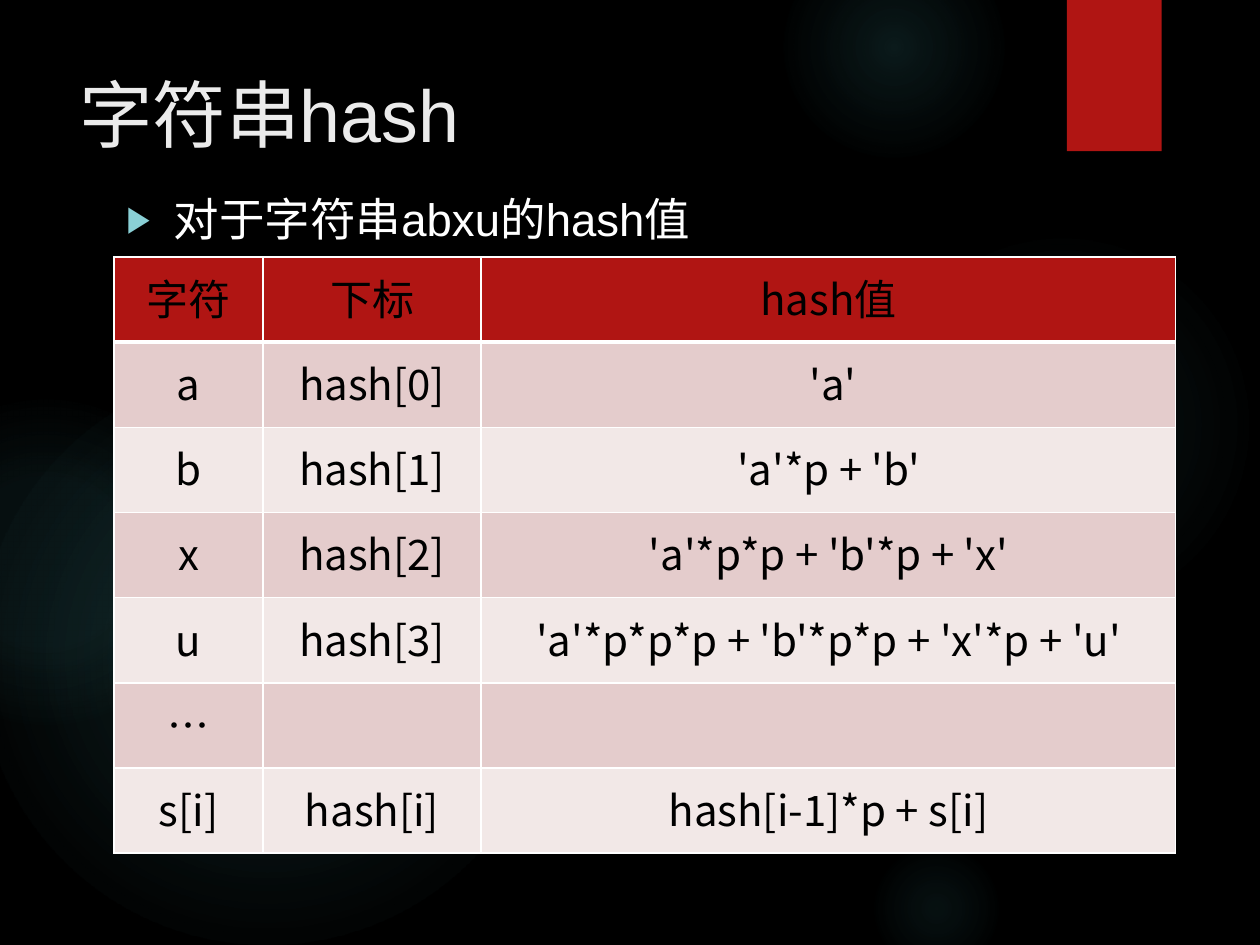
from lxml import etree
from pptx import Presentation
from pptx.dml.color import RGBColor
from pptx.enum import shapes, text
from pptx.oxml import parse_xml
from pptx.oxml.ns import nsdecls, qn
from pptx.util import Cm, Pt

CJK = "Noto Sans CJK SC"


def paint(fill, colour):
    fill.solid()
    fill.fore_color.rgb = RGBColor.from_string(colour)


def write(frame, words, size=24, font=CJK, colour="000000",
          align=text.PP_ALIGN.LEFT, anchor=text.MSO_ANCHOR.TOP):
    frame.word_wrap = True
    frame.vertical_anchor = anchor
    para = frame.paragraphs[0]
    para.alignment = align
    span = para.add_run()
    span.text = words
    span.font.size = Pt(size)
    span.font.name = font
    paint(span.font.fill, colour)
    etree.SubElement(span.font._element, qn("a:ea"), typeface=CJK)
    return para


deck = Presentation()
deck.slide_width = Cm(25.4)
deck.slide_height = Cm(19.05)
page = deck.slides.add_slide(deck.slide_layouts[6])
paint(page.background.fill, "000000")

glows = [
    (17.5, 4.65, 7.82, [(0, 7), (36, 6), (69, 0)]),
    (15.8, -1.27, 4.45, [(0, 14), (36, 7), (73, 0)]),
    (17.5, 16.94, 2.74, [(0, 9), (36, 5), (66, 0)]),
    (-0.43, 7.42, 11.63, [(0, 11), (36, 10), (75, 0)]),
    (-2.34, 8.05, 6.55, [(0, 8), (36, 8), (72, 0)]),
]
for left, top, size, stops in glows:
    glow = page.shapes.add_shape(shapes.MSO_SHAPE.OVAL, Cm(left), Cm(top), Cm(size), Cm(size))
    glow.shadow.inherit = False
    glow.line.fill.background()
    stop_xml = "".join(
        f'<a:gs pos="{place * 1000}"><a:srgbClr val="50B9C1">'
        f'<a:alpha val="{alpha * 1000}"/></a:srgbClr></a:gs>'
        for place, alpha in stops)
    glow._element.spPr.find(qn("a:prstGeom")).addnext(parse_xml(
        f'<a:gradFill {nsdecls("a")} rotWithShape="1"><a:gsLst>{stop_xml}</a:gsLst>'
        '<a:path path="circle"><a:fillToRect l="50000" t="50000" r="50000" b="50000"/>'
        '</a:path></a:gradFill>'))

ribbon = page.shapes.add_shape(shapes.MSO_SHAPE.RECTANGLE, Cm(21.51), 0, Cm(1.91), Cm(3.05))
ribbon.shadow.inherit = False
paint(ribbon.fill, "B01513")
ribbon.line.fill.background()
ribbon._element.spPr.find(qn("a:effectLst")).append(parse_xml(
    f'<a:outerShdw {nsdecls("a")} blurRad="{Pt(3)}" dist="{Pt(2)}" dir="5400000">'
    '<a:srgbClr val="000000"><a:alpha val="45000"/></a:srgbClr></a:outerShdw>'))

title = page.shapes.add_textbox(Cm(1.35), Cm(1.27), Cm(19.61), Cm(3.89))
write(title.text_frame, "字符串hash", size=42, font="Arial", colour="EBEBEB")

rows = [
    ("字符", "下标", "hash值"),
    ("a", "hash[0]", " 'a'"),
    ("b", "hash[1]", "'a'*p + 'b'"),
    ("x", "hash[2]", "'a'*p*p + 'b'*p + 'x'"),
    ("u", "hash[3]", "'a'*p*p*p + 'b'*p*p + 'x'*p + 'u'"),
    ("…", "", ""),
    ("s[i]", "hash[i]", "hash[i-1]*p + s[i]"),
]
widths = [3, 4.4, 14]
table = page.shapes.add_table(len(rows), len(widths), Cm(2.3), Cm(5.18),
                              Cm(sum(widths)), Cm(12.02)).table
for column, width in zip(table.columns, widths):
    column.width = Cm(width)
for r, words_in_row in enumerate(rows):
    for c, words in enumerate(words_in_row):
        cell = table.cell(r, c)
        cell.margin_left = cell.margin_right = cell.margin_top = Cm(0.03)
        cell.margin_bottom = Cm(0.13)
        cell.vertical_anchor = text.MSO_ANCHOR.MIDDLE
        if words:
            write(cell.text_frame, words, align=text.PP_ALIGN.CENTER,
                  anchor=None)
        borders = {"lnL": 1, "lnR": 1, "lnT": 3 if r == 1 else 1, "lnB": 3 if r == 0 else 1}
        for side, weight in borders.items():
            cell._tc.get_or_add_tcPr().append(parse_xml(
                f'<a:{side} {nsdecls("a")} w="{Pt(weight)}"><a:solidFill>'
                f'<a:srgbClr val="FFFFFF"/></a:solidFill></a:{side}>'))
        paint(cell.fill, "B01513" if r == 0 else ("F2E8E7", "E4CCCC")[r % 2])

bullet_box = page.shapes.add_textbox(Cm(2.3), Cm(3.73), Cm(18.64), Cm(1.8))
para = write(bullet_box.text_frame, "对于字符串abxu的hash值", size=26, font="Arial", colour="FFFFFF")
para.space_before = Pt(10)
props = para._p.get_or_add_pPr()
props.set("marL", str(Cm(0.95)))
props.set("indent", str(-Cm(0.95)))
for tag, attributes in [("buSzPct", 'val="80000"'), ("buFont", 'typeface="Arial"'),
                        ("buChar", 'char="▶"')]:
    props.append(parse_xml(f'<a:{tag} {nsdecls("a")} {attributes}/>'))
props.find(qn("a:buSzPct")).addprevious(parse_xml(
    f'<a:buClr {nsdecls("a")}><a:srgbClr val="8AD0D6"/></a:buClr>'))

deck.save("out.pptx")
